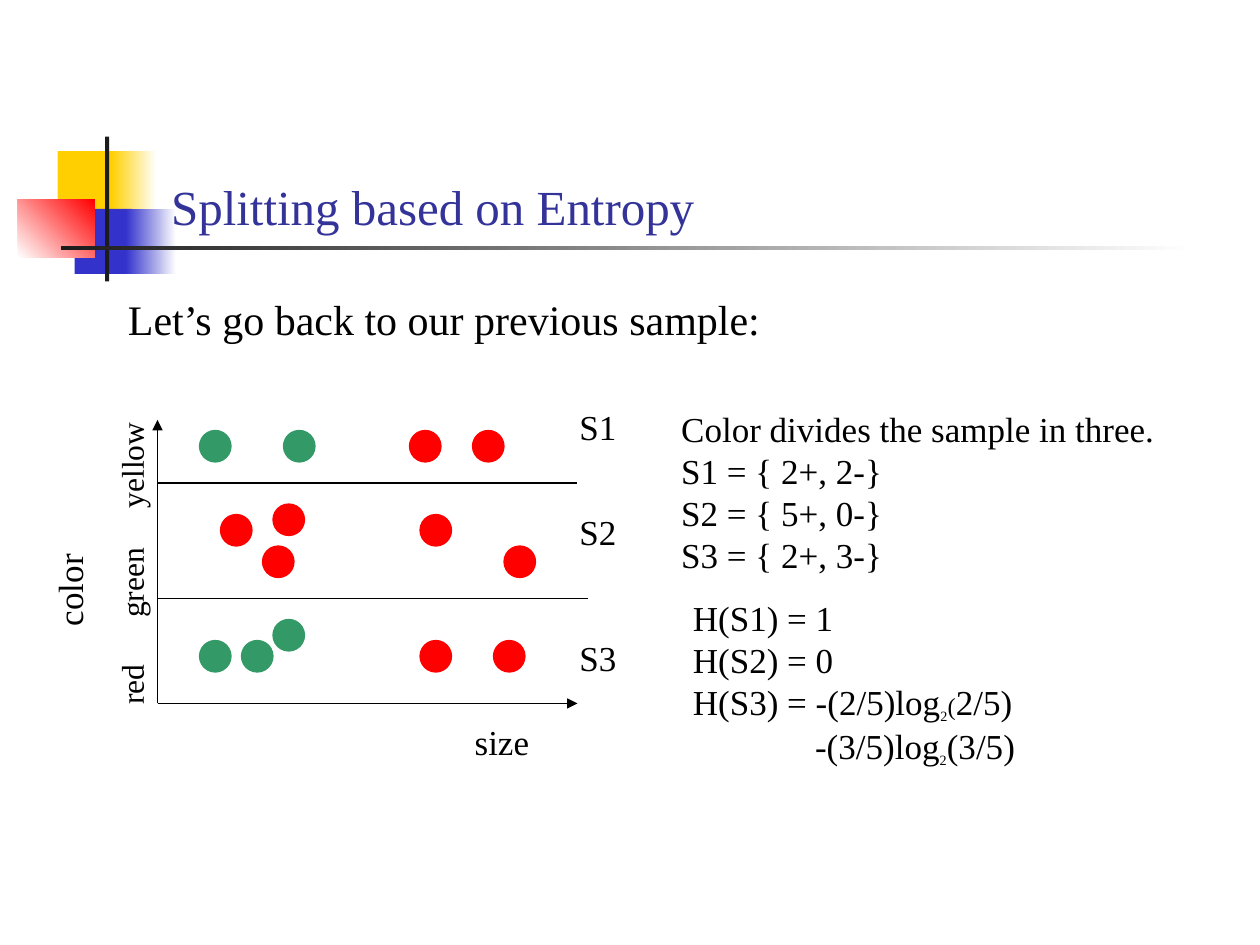
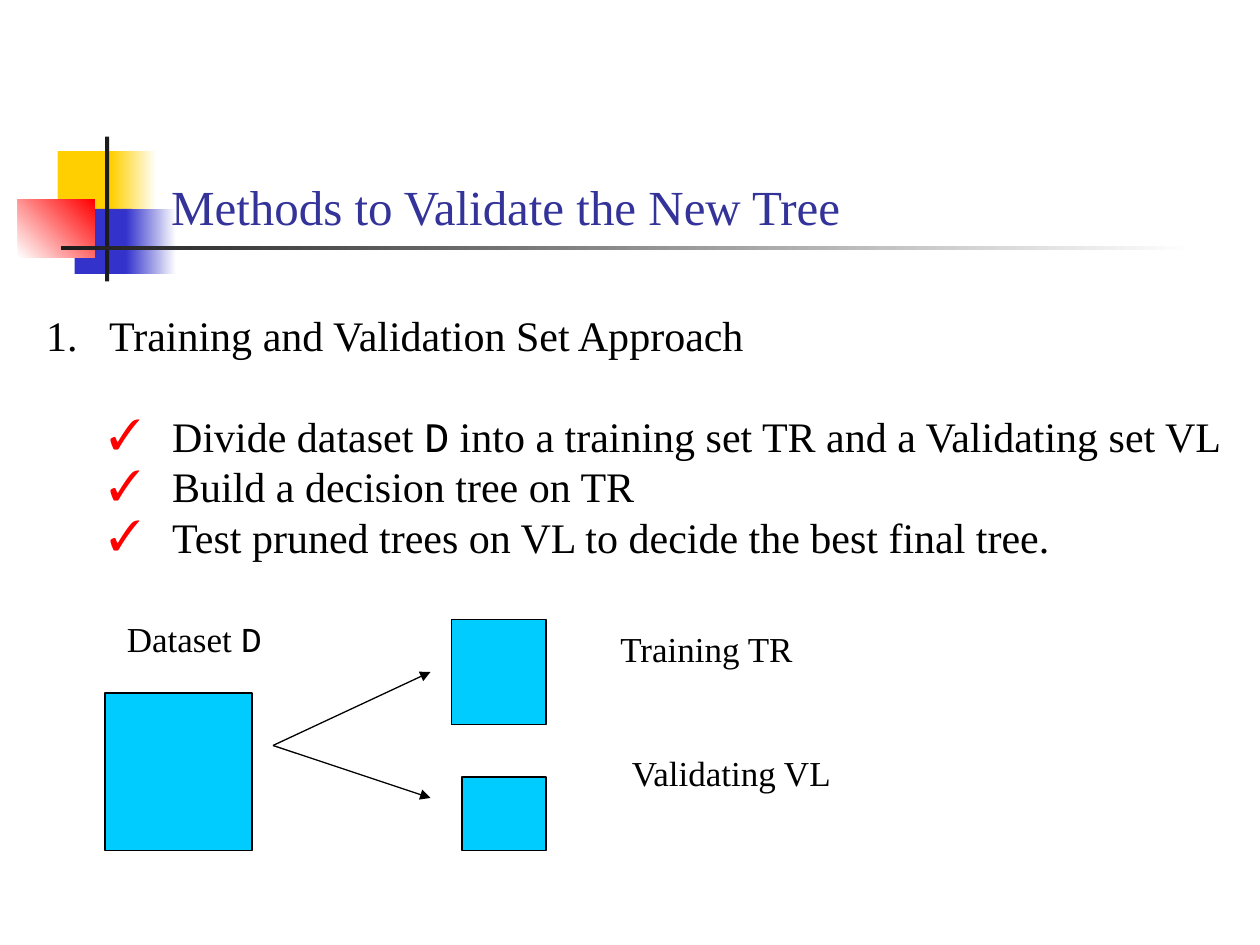
from dataclasses import dataclass

from lxml.etree import SubElement
from pptx import Presentation
from pptx.dml.color import RGBColor
from pptx.enum.shapes import MSO_CONNECTOR, MSO_SHAPE
from pptx.enum.text import MSO_ANCHOR, MSO_AUTO_SIZE, PP_ALIGN
from pptx.oxml.ns import qn
from pptx.util import Inches, Pt

COLUMNS, ROWS = 120, 90
CELL = Inches(10) / COLUMNS


@dataclass(frozen=True)
class Theme:
    """Colours, fonts and type sizes shared by the slides."""
    title: str = "333399"
    ink: str = "000000"
    paper: str = "FFFFFF"
    yellow: str = "FFCF01"
    blue: str = "3333CC"
    red: str = "FF0000"
    green: str = "339966"
    cyan: str = "00CCFF"
    charcoal: str = "1C1C1C"
    font: str = "Times New Roman"
    code_font: str = "Courier New"
    title_size: int = 28
    body_size: int = 24
    label_size: int = 20
    tick_size: int = 18
    subscript_size: int = 14
    line_width: float = 0.75


THEME = Theme()


@dataclass(frozen=True)
class Box:
    """Rectangle measured in grid cells."""
    left: float
    top: float
    width: float
    height: float

    def within(self, left, top, width, height):
        """Return a box placed relative to this one."""
        return Box(self.left + left, self.top + top, width, height)

    def frame(self):
        """Return left, top, width and height as lengths."""
        return [cells(value) for value in (self.left, self.top, self.width, self.height)]


MOTIF = Box(1, 13, 113, 14)
TITLE = Box(15.1, 8, 102.2, 15)
LEAD = Box(11, 27.4, 63, 6)
PLOT = Box(15, 40, 40, 27)
SETS = Box(63.7, 38.2, 48, 17.3)
ENTROPIES = Box(64.8, 56.2, 34, 17.6)
METHOD_LIST = Box(3.2, 28.9, 115.4, 25.2)
SPLIT = Box(10, 58, 71, 23)


def cells(count):
    """Convert grid cells to a length."""
    return round(count * CELL)


def write(frame, paragraphs, size=THEME.label_size, color=THEME.ink, align=PP_ALIGN.LEFT,
          anchor=MSO_ANCHOR.TOP):
    """Fill a text frame; each paragraph is a string or a list of (text, format) spans."""
    frame.word_wrap = True
    frame.auto_size = MSO_AUTO_SIZE.NONE
    frame.vertical_anchor = anchor
    for index, content in enumerate(paragraphs):
        para = frame.paragraphs[0] if index == 0 else frame.add_paragraph()
        para.alignment = align
        for text, style in [(content, {})] if isinstance(content, str) else content:
            span = para.add_run()
            span.text = text
            span.font.name = style.get("font", THEME.font)
            span.font.size = Pt(style.get("size", size))
            span.font.color.rgb = RGBColor.from_string(color)
            if "baseline" in style:
                span.font._element.set("baseline", str(style["baseline"] * 1000))
    return frame.paragraphs


def add_label(page, box, *paragraphs, rotation=0, **style):
    """Add a text box and return its paragraphs."""
    label = page.shapes.add_textbox(*box.frame())
    label.rotation = rotation
    return write(label.text_frame, paragraphs, **style)


def add_block(page, box, color, fade=None, angle=0, line=None, kind=MSO_SHAPE.RECTANGLE):
    """Add a shape with a solid fill, or a gradient when fade is given."""
    block = page.shapes.add_shape(kind, *box.frame())
    block.shadow.inherit = False
    if fade:
        block.fill.gradient()
        block.fill.gradient_angle = angle
        for stop, stop_color in zip(block.fill.gradient_stops, (color, fade)):
            stop.color.rgb = RGBColor.from_string(stop_color)
    else:
        block.fill.solid()
        block.fill.fore_color.rgb = RGBColor.from_string(color)
    if line:
        block.line.color.rgb = RGBColor.from_string(line)
        block.line.width = Pt(THEME.line_width)
    else:
        block.line.fill.background()


def add_line(page, box, start, end, arrow=False):
    """Draw a line between two points relative to the box."""
    points = [cells(value) for x, y in (start, end) for value in (box.left + x, box.top + y)]
    line = page.shapes.add_connector(MSO_CONNECTOR.STRAIGHT, *points)
    line.line.color.rgb = RGBColor.from_string(THEME.ink)
    line.line.width = Pt(THEME.line_width)
    if arrow:
        SubElement(line.line._get_or_add_ln(), qn("a:tailEnd"), type="triangle")
    SubElement(line.element.spPr, qn("a:effectLst"))


def indent(para, margin, hanging=0):
    """Set a paragraph's left margin and hanging indent, in inches."""
    properties = para._p.get_or_add_pPr()
    properties.set("marL", str(Inches(margin)))
    properties.set("indent", str(-Inches(hanging)))
    return properties


def set_bullet(para, margin, color, tag, **attributes):
    """Give a paragraph a coloured bullet or number."""
    properties = indent(para, margin, hanging=0.5)
    SubElement(SubElement(properties, qn("a:buClr")), qn("a:srgbClr"), val=color)
    SubElement(properties, qn("a:buFont"), typeface=THEME.font)
    SubElement(properties, qn(tag), **attributes)


def add_motif(page, box):
    """Draw the coloured squares and the two rules beside the title."""
    add_block(page, box.within(4.5, 1.4, 5.8, 6.2), THEME.yellow)
    add_block(page, box.within(9.6, 1.4, 4.3, 6.2), THEME.yellow, fade=THEME.paper)
    add_block(page, box.within(6.1, 6.9, 5.5, 6.2), THEME.blue)
    add_block(page, box.within(11, 6.9, 4.8, 6.2), THEME.blue, fade=THEME.paper)
    add_block(page, box.within(0.7, 6, 7.3, 5.5), THEME.paper, fade=THEME.red, angle=45)
    add_block(page, box.within(9, 0, 0.4, 13.8), THEME.charcoal)
    add_block(page, box.within(4.8, 10.4, 108, 0.4), THEME.charcoal, fade=THEME.paper)


def place(holder, box):
    """Move a placeholder to a box."""
    holder.left, holder.top, holder.width, holder.height = box.frame()


def add_page(deck, layout_name, title):
    """Add a slide with the shared motif and title."""
    page = deck.slides.add_slide(deck.slide_layouts.get_by_name(layout_name))
    add_motif(page, MOTIF)
    heading = page.shapes.title
    place(heading, TITLE)
    write(heading.text_frame, [title], size=THEME.title_size, color=THEME.title,
          anchor=MSO_ANCHOR.BOTTOM)
    page.shapes.element.append(heading.element)
    return page


def add_plot(page, box):
    """Draw the sample as dots over size and color, cut into three bands."""
    add_line(page, box, (0, box.height), (0, 0), arrow=True)
    add_line(page, box, (0, box.height), (box.width, box.height), arrow=True)
    add_line(page, box, (0, 6), (box.width, 6))
    add_line(page, box, (0, 17), (box.width + 1, 17))
    dots = {
        THEME.green: [(4, 1), (12, 1), (11, 19), (4, 21), (8, 21)],
        THEME.red: [(24, 1), (30, 1), (11, 8), (6, 9), (25, 9), (10, 12), (33, 12),
                    (25, 21), (32, 21)],
    }
    for color, places in dots.items():
        for x, y in places:
            add_block(page, box.within(x, y, 3, 3), color, line=color, kind=MSO_SHAPE.OVAL)
    for name, y in (("S1", -2), ("S2", 8), ("S3", 20)):
        add_label(page, box.within(39, y, 6, 5.2), name)
    add_label(page, box.within(28.8, 28, 8, 5.2), "size", align=PP_ALIGN.CENTER)
    add_label(page, box.within(-14.4, 13.6, 12, 5.2), "color", rotation=270,
              align=PP_ALIGN.CENTER)
    ticks = add_label(page, box.within(-17.2, 11.2, 29.4, 4.8), "red\tgreen\tyellow",
                      rotation=270, size=THEME.tick_size)
    tab_list = SubElement(ticks[0]._p.get_or_add_pPr(), qn("a:tabLst"))
    for position in (0.69, 1.56):
        SubElement(tab_list, qn("a:tab"), pos=str(Inches(position)), algn="l")


def add_entropies(page, box):
    """Write the entropy of each subset, with the last sum on two lines."""
    small = {"size": THEME.subscript_size}
    base_two = ("2", {**small, "baseline": -25})
    paras = add_label(
        page, box, "H(S1) = 1", "H(S2) = 0",
        [("H(S3) = -(2/5)log", {}), base_two, ("(", small), ("2/5)", {})],
        [("-(3/5)log", {}), base_two, ("(3/5)", {})])
    indent(paras[-1], 0.97)


def add_method_list(holder, box):
    """Fill the body with a numbered method and its ticked steps."""
    place(holder, box)
    code = {"font": THEME.code_font}
    method, *steps = write(holder.text_frame, [
        "Training and Validation Set Approach",
        [("Divide dataset ", {}), ("D", code),
         (" into a training set TR and a Validating set VL", {})],
        "Build a decision tree on TR",
        "Test pruned trees on VL to decide the best final tree."], size=THEME.body_size)
    for para in (method, *steps):
        para.line_spacing = Pt(28.8)
        para.space_before = Pt(0)
    steps[0].space_before = Pt(28.8)
    set_bullet(method, 0.5, THEME.ink, "a:buAutoNum", type="arabicPeriod")
    for step in steps:
        step.level = 1
        set_bullet(step, 1, THEME.red, "a:buChar", char="✓")


def add_split(page, box):
    """Draw the dataset splitting into training and validating sets."""
    for block in ((0, 8, 14, 15), (33, 1, 9, 10), (34, 16, 8, 7)):
        add_block(page, box.within(*block), THEME.cyan, line=THEME.ink)
    for end in ((31, 6), (31, 18)):
        add_line(page, box, (16, 13), end, arrow=True)
    add_label(page, box.within(0.9, 0.2, 16, 5.2),
              [("Dataset ", {}), ("D", {"font": THEME.code_font})])
    add_label(page, box.within(47.9, 1.2, 19.5, 5.2), "Training TR")
    add_label(page, box.within(49, 13, 22, 5.2), "Validating VL")


def build_entropy_page(deck):
    """Build the slide on splitting by entropy."""
    page = add_page(deck, "Title Only", "Splitting based on Entropy")
    add_label(page, LEAD, "Let’s go back to our previous sample:", size=THEME.body_size)
    add_plot(page, PLOT)
    add_label(page, SETS, "Color divides the sample in three.",
              "S1 = { 2+, 2-}", "S2 = { 5+, 0-}", "S3 = { 2+, 3-}")
    add_entropies(page, ENTROPIES)


def build_validation_page(deck):
    """Build the slide on validating the tree."""
    page = add_page(deck, "Title and Content", "Methods to Validate the New Tree")
    add_method_list(page.placeholders[1], METHOD_LIST)
    add_split(page, SPLIT)


def main():
    """Build and save the deck."""
    deck = Presentation()
    deck.slide_width, deck.slide_height = cells(COLUMNS), cells(ROWS)
    build_entropy_page(deck)
    build_validation_page(deck)
    deck.save("out.pptx")


if __name__ == "__main__":
    main()
